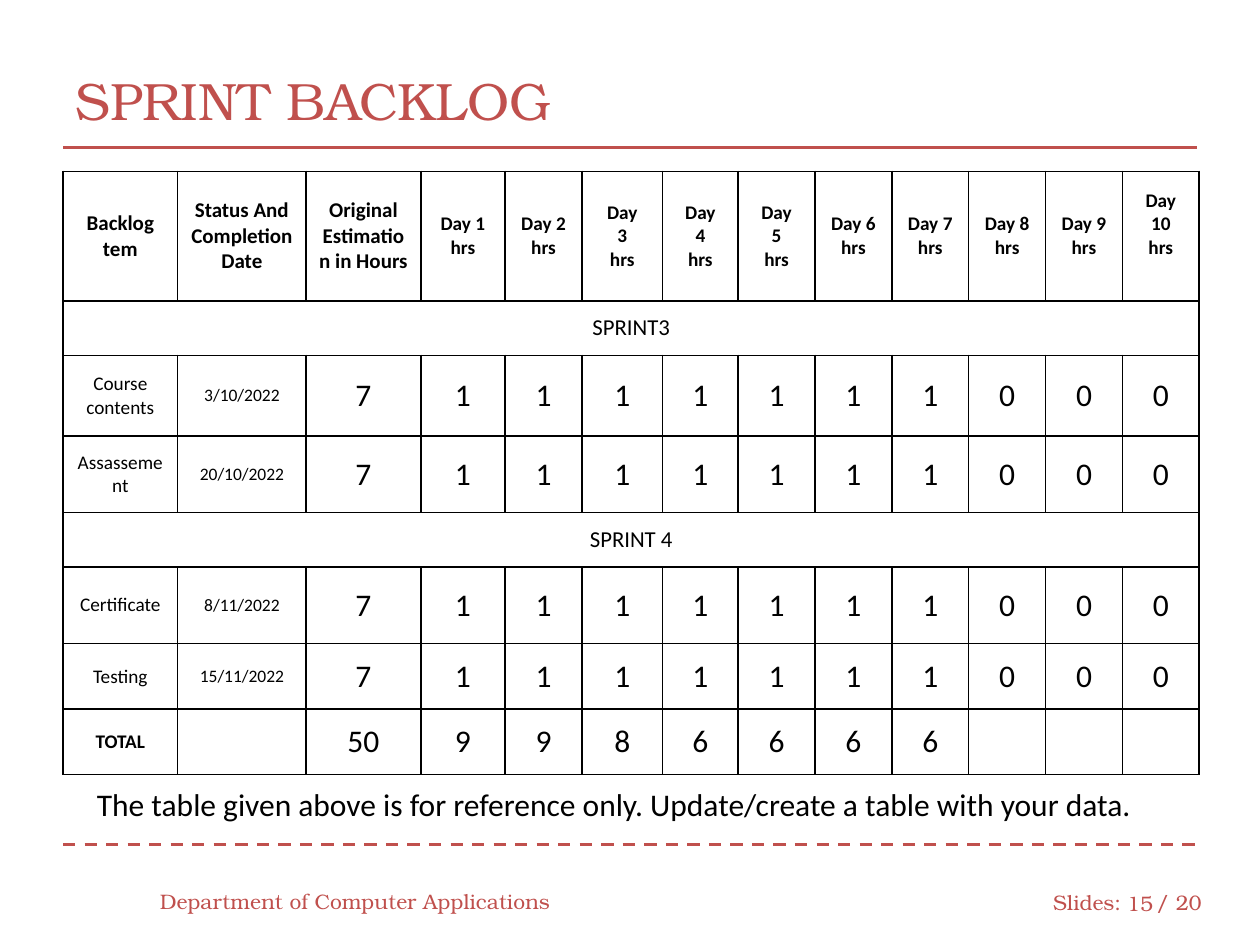
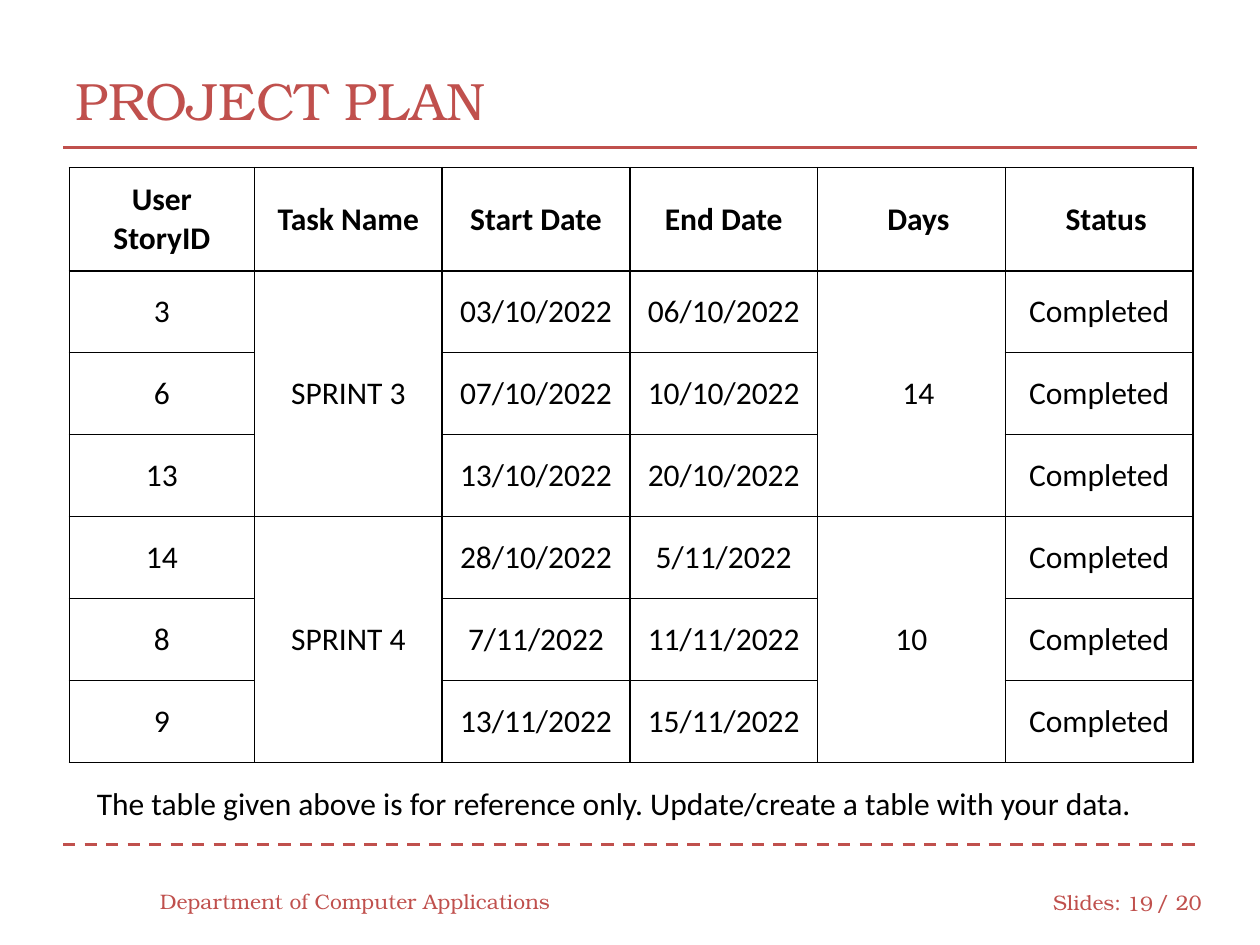
from lxml import etree
from pptx import Presentation
from pptx import util as u
from pptx.dml.color import RGBColor
from pptx.enum import dml, shapes, text
from pptx.oxml.ns import qn

RED, BLACK, WHITE = "C0504D", "000000", "FFFFFF"
SERIF, SANS = "TeX Gyre Bonum", "Calibri"
LEFT, RIGHT = 0.5, 9.5
INSET = 0.1

NOTE = "The table given above is for reference only. Update/create a table with your data."
DEPARTMENT = "Department of Computer Applications"
SLIDE_COUNT = 20

WORKED = ["7"] + ["1"] * 7 + ["0"] * 3
DAY_LABELS = ["Day 1", "Day 2", "Day\n3", "Day\n4", "Day\n5",
              "Day 6", "Day 7", "Day 8", "Day 9", "Day 10"]

BACKLOG = {
    "title": "SPRINT BACKLOG",
    "page": 15,
    "note_top": 6.18,
    "at": (0.5, 1.36),
    "columns": [0.91, 1.02, 0.91, 0.67, 0.61, 0.64, 0.6] + [0.61] * 6,
    "heights": [1.03, 0.43, 0.64, 0.61, 0.43, 0.61, 0.52, 0.52],
    "rows": [
        ["Backlog tem", "Status And Completion Date", "Original Estimation in Hours"]
        + [f"{day}\nhrs" for day in DAY_LABELS],
        ["SPRINT3"],
        ["Course contents", "3/10/2022"] + WORKED,
        ["Assassement", "20/10/2022"] + WORKED,
        ["SPRINT 4"],
        ["Certificate", "8/11/2022"] + WORKED,
        ["Testing", "15/11/2022"] + WORKED,
        ["TOTAL", "", "50", "9", "9", "8", "6", "6", "6", "6", "", "", ""],
    ],
    "merges": [((1, 0), (1, 12)), ((4, 0), (4, 12))],
    # extra cell margins that push a text off centre
    "nudges": {(0, 12): {"margin_bottom": 0.29}},
}

PLAN = {
    "title": "PROJECT PLAN",
    "page": 19,
    "note_top": 6.17,
    "at": (0.55, 1.33),
    "columns": [1.47] + [1.49] * 5,
    "heights": [0.82] + [0.65] * 6,
    "rows": [
        ["User\nStoryID", "Task Name", "Start Date", "End Date", "Days", "Status"],
        ["3", "SPRINT 3", "03/10/2022", "06/10/2022", "14", "Completed"],
        ["6", "", "07/10/2022", "10/10/2022", "", "Completed"],
        ["13", "", "13/10/2022", "20/10/2022", "", "Completed"],
        ["14", "SPRINT 4", "28/10/2022", "5/11/2022", "10", "Completed"],
        ["8", "", "7/11/2022", "11/11/2022", "", "Completed"],
        ["9", "", "13/11/2022", "15/11/2022", "", "Completed"],
    ],
    "merges": [((top, col), (top + 2, col)) for top in (1, 4) for col in (1, 4)],
    "nudges": {spot: {"margin_left": 0.21} for spot in [(0, 4), (0, 5), (1, 4)]},
}


def backlog_font(row, col):
    """Size and weight of a sprint backlog cell."""
    if row == 0:
        return (12 if col < 3 else 11), True
    if len(BACKLOG["rows"][row]) == 1:
        return 13, False
    return {0: 11, 1: 10}.get(col, 18), BACKLOG["rows"][row][col] == "TOTAL"


def plan_font(row, col):
    """Size and weight of a project plan cell."""
    return 18, row == 0


def rgb(hex_colour):
    return RGBColor.from_string(hex_colour)


def set_all(target, values):
    for name, value in values.items():
        setattr(target, name, value)


def write(frame, words, size, face, colour, bold=False, align=text.PP_ALIGN.LEFT):
    """Fill a text frame, one paragraph for each line."""
    frame.text = words
    for paragraph in frame.paragraphs:
        paragraph.alignment = align
        set_all(paragraph.font, {"size": u.Pt(size), "name": face, "bold": bold})
        paragraph.font.color.rgb = rgb(colour)


def add_label(slide, words, box, size=12, face=SERIF, colour=RED,
              align=text.PP_ALIGN.LEFT, anchor=text.MSO_ANCHOR.MIDDLE):
    frame = slide.shapes.add_textbox(*map(u.Inches, box)).text_frame
    set_all(frame, {"word_wrap": True, "vertical_anchor": anchor})
    write(frame, words, size, face, colour, align=align)
    return frame


def add_rule(slide, top, dash=None):
    rule = slide.shapes.add_connector(
        shapes.MSO_CONNECTOR.STRAIGHT,
        *map(u.Inches, (LEFT, top, RIGHT, top)))
    rule.line.color.rgb = rgb(RED)
    set_all(rule.line, {"width": u.Pt(1.75), "dash_style": dash})
    etree.SubElement(rule.element.spPr, qn("a:effectLst"))


def add_frame(slide, title, page):
    """Title, rules and footer, shared by all slides."""
    heading = slide.shapes.title
    set_all(heading, dict(zip(("left", "top", "width", "height"),
                              map(u.Inches, (LEFT, 0.33, RIGHT - LEFT, 0.92)))))
    set_all(heading.text_frame, {"vertical_anchor": text.MSO_ANCHOR.MIDDLE,
                                 "auto_size": text.MSO_AUTO_SIZE.NONE})
    write(heading.text_frame, title, 30, SERIF, RED)
    add_rule(slide, 1.17)
    add_rule(slide, 6.7, dml.MSO_LINE.DASH)
    add_label(slide, DEPARTMENT, (1.17, 6.95, 3.33, 0.4))
    add_label(slide, "Slides:", (8.26, 6.96, 0.75, 0.4))
    add_label(slide, str(page), (8.83, 6.97, 0.42, 0.4), align=text.PP_ALIGN.RIGHT)
    add_label(slide, f"/ {SLIDE_COUNT}", (9.08, 6.96, 0.58, 0.4))


def outline(cell):
    properties = cell._tc.get_or_add_tcPr()
    for side in ("lnL", "lnR", "lnT", "lnB"):
        edge = etree.SubElement(properties, qn(f"a:{side}"), w=str(u.Pt(1)))
        fill = etree.SubElement(edge, qn("a:solidFill"))
        etree.SubElement(fill, qn("a:srgbClr"), val=BLACK)


def add_grid(slide, content, font_at):
    columns, heights = content["columns"], content["heights"]
    box = (*content["at"], sum(columns), sum(heights))
    grid = slide.shapes.add_table(len(heights), len(columns), *map(u.Inches, box)).table
    for column, width in zip(grid.columns, columns):
        column.width = u.Inches(width)
    for row, height in zip(grid.rows, heights):
        row.height = u.Inches(height)
    for start, end in content["merges"]:
        grid.cell(*start).merge(grid.cell(*end))

    for r, row in enumerate(content["rows"]):
        for c in range(len(columns)):
            cell = grid.cell(r, c)
            outline(cell)
            cell.fill.solid()
            cell.fill.fore_color.rgb = rgb(WHITE)
            cell.vertical_anchor = text.MSO_ANCHOR.MIDDLE
            margins = dict.fromkeys(
                ("margin_left", "margin_right", "margin_top", "margin_bottom"), INSET)
            margins.update(content["nudges"].get((r, c), {}))
            set_all(cell, {side: u.Inches(gap) for side, gap in margins.items()})
            if c < len(row) and row[c]:
                size, bold = font_at(r, c)
                write(cell.text_frame, row[c], size, SANS, BLACK, bold,
                      text.PP_ALIGN.CENTER)


def main():
    deck = Presentation()
    set_all(deck, {"slide_width": u.Inches(10), "slide_height": u.Inches(7.5)})
    title_only = deck.slide_layouts[5]
    for content, font_at in ((BACKLOG, backlog_font), (PLAN, plan_font)):
        slide = deck.slides.add_slide(title_only)
        add_frame(slide, content["title"], content["page"])
        add_grid(slide, content, font_at)
        note = add_label(slide, NOTE, (0.67, content["note_top"], 8.58, 0.4), 18,
                         SANS, BLACK, anchor=text.MSO_ANCHOR.TOP)
        note.auto_size = text.MSO_AUTO_SIZE.SHAPE_TO_FIT_TEXT
    deck.save("out.pptx")


if __name__ == "__main__":
    main()
